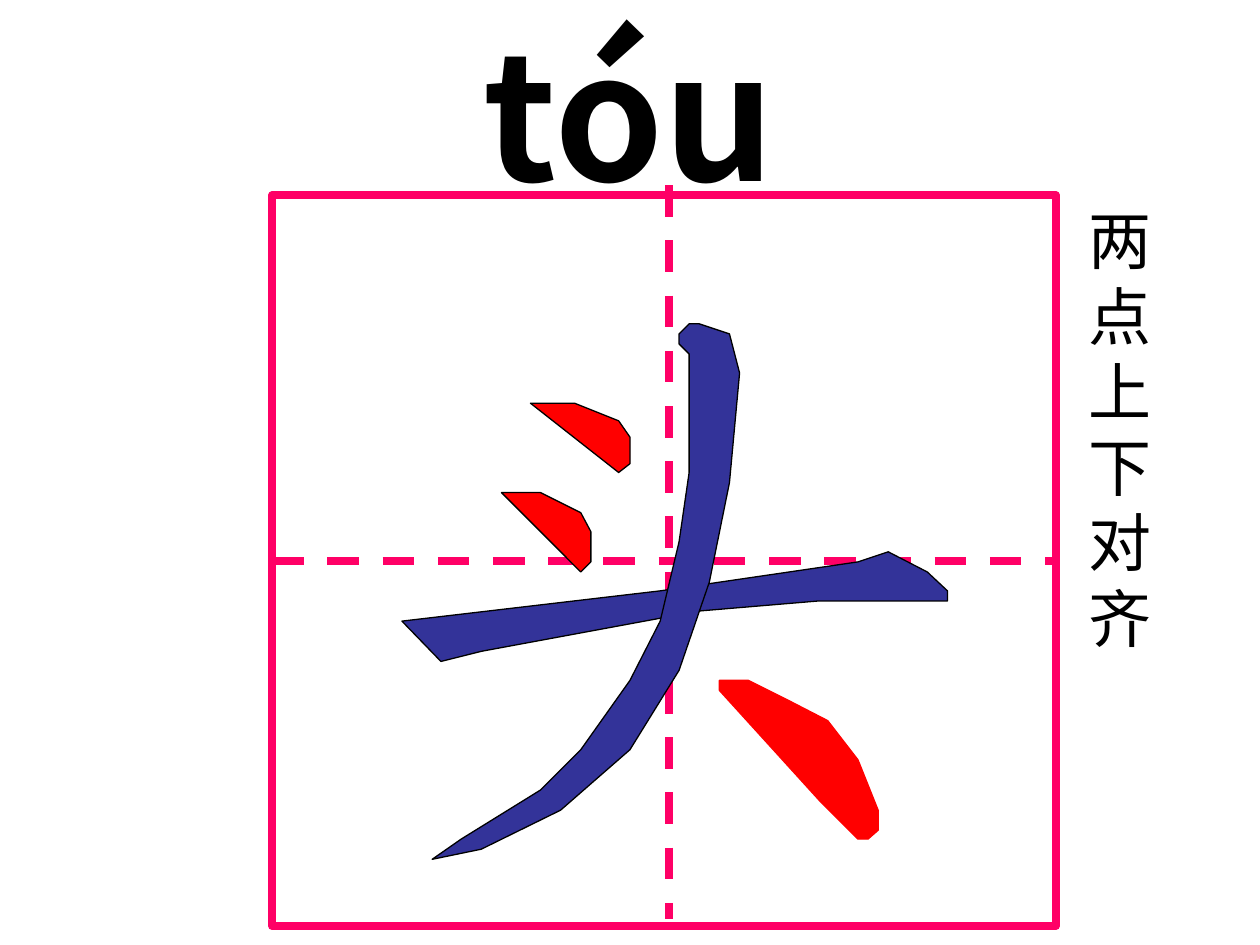
import pptx
import pptx.dml.color
import pptx.enum.dml
import pptx.enum.shapes
import pptx.enum.text
import pptx.util
from lxml import etree
from pptx.util import Inches

PINK, RED, BLUE, BLACK = "FF0066", "FF0000", "333399", "000000"

UPPER_DOT = [(4.21, 3.2), (4.56, 3.2), (4.91, 3.34), (5, 3.47),
             (5, 3.68), (4.91, 3.75)]
LOWER_DOT = [(3.98, 3.91), (4.29, 3.91), (4.61, 4.07), (4.69, 4.22),
             (4.69, 4.46), (4.61, 4.54)]
HORIZONTAL_STROKE = [(3.19, 4.93), (5.24, 4.69), (6.81, 4.46), (7.05, 4.38),
                     (7.36, 4.54), (7.52, 4.69), (7.52, 4.77), (6.5, 4.77),
                     (5.55, 4.85), (3.82, 5.17), (3.5, 5.25)]
LEFT_FALLING_STROKE = [(5.47, 2.57), (5.39, 2.65), (5.39, 2.73), (5.47, 2.81),
                       (5.47, 3.75), (5.39, 4.3), (5.24, 4.93), (5, 5.4),
                       (4.61, 5.95), (4.29, 6.27), (3.66, 6.66), (3.43, 6.82),
                       (3.82, 6.74), (4.45, 6.43), (5, 5.95), (5.39, 5.32),
                       (5.63, 4.62), (5.79, 3.83), (5.87, 2.96), (5.79, 2.65),
                       (5.55, 2.57)]
FINAL_DOT = [(5.71, 5.48), (6.5, 6.35), (6.81, 6.66), (6.89, 6.66),
             (6.97, 6.59), (6.97, 6.43), (6.81, 6.03), (6.57, 5.72),
             (6.26, 5.56), (5.94, 5.4), (5.71, 5.4)]


def rgb(color):
    return pptx.dml.color.RGBColor.from_string(color)


def set_line(element, color, width):
    element.line.color.rgb = rgb(color)
    element.line.width = pptx.util.Pt(width)


def add_line(shapes, start, end, color, width, dashed=False):
    line = shapes.add_connector(pptx.enum.shapes.MSO_CONNECTOR.STRAIGHT,
                                *map(Inches, start + end))
    set_line(line, color, width)
    if dashed:
        line.line.dash_style = pptx.enum.dml.MSO_LINE.DASH
    etree.SubElement(line._element.spPr, pptx.oxml.ns.qn("a:effectLst"))
    return line


def add_stroke(shapes, points, fill, outline):
    corners = [(Inches(x), Inches(y)) for x, y in points]
    builder = shapes.build_freeform(*corners[0])
    builder.add_line_segments(corners[1:], close=True)
    stroke = builder.convert_to_shape()
    stroke.shadow.inherit = False
    stroke.fill.solid()
    stroke.fill.fore_color.rgb = rgb(fill)
    set_line(stroke, outline, 0.75)


def add_text(shapes, box, text, size, font, bold=False):
    frame = shapes.add_textbox(*map(Inches, box)).text_frame
    frame.word_wrap = True
    frame.auto_size = pptx.enum.text.MSO_AUTO_SIZE.SHAPE_TO_FIT_TEXT
    run = frame.paragraphs[0].add_run()
    run.text = text
    run.font.size = pptx.util.Pt(size)
    run.font.name = font
    run.font.bold = bold
    run.font.color.rgb = rgb(BLACK)


def add_practice_square(shapes):
    group = shapes.add_group_shape().shapes
    square = group.add_shape(pptx.enum.shapes.MSO_SHAPE.RECTANGLE,
                             *map(Inches, (2.16, 1.55, 6.22, 5.8)))
    square.shadow.inherit = False
    square.fill.background()
    set_line(square, PINK, 4.5)
    midline = add_line(group, (2.16, 4.45), (8.38, 4.45), PINK, 4.5, True)
    midline.begin_connect(square, 1)
    midline.end_connect(square, 3)
    add_line(shapes, (5.31, 1.47), (5.31, 7.29), PINK, 4.5, True)


def main():
    deck = pptx.Presentation()
    deck.slide_width, deck.slide_height = Inches(10), Inches(7.5)
    shapes = deck.slides.add_slide(deck.slide_layouts[6]).shapes

    # Small mark left of the square, then the pinyin
    add_line(shapes, (1.85, 4.46), (1.85, 4.46), BLACK, 0.75)
    add_text(shapes, (3.74, 0, 4.49, 1.77), "tóu", 100, "Noto Sans CJK SC", True)

    add_practice_square(shapes)

    # Two left dots and the writing hint, one character to a line
    add_stroke(shapes, LOWER_DOT, RED, BLACK)
    add_stroke(shapes, UPPER_DOT, RED, BLACK)
    add_text(shapes, (8.54, 1.55, 0.71, 3.7), "两点上下对齐", 36, "Arial")

    # Remaining strokes of the character
    add_stroke(shapes, HORIZONTAL_STROKE, BLUE, BLACK)
    add_stroke(shapes, LEFT_FALLING_STROKE, BLUE, BLACK)
    add_stroke(shapes, FINAL_DOT, RED, RED)

    deck.save("out.pptx")


if __name__ == "__main__":
    main()
